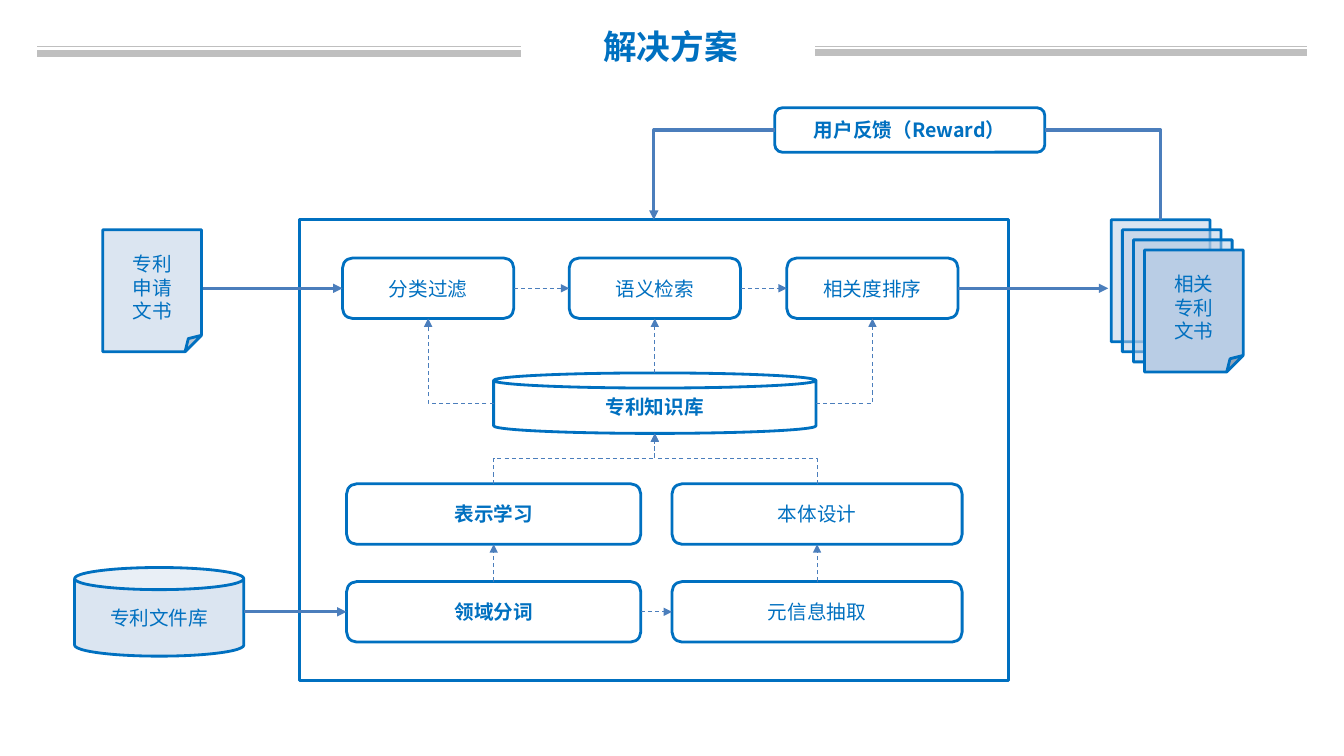
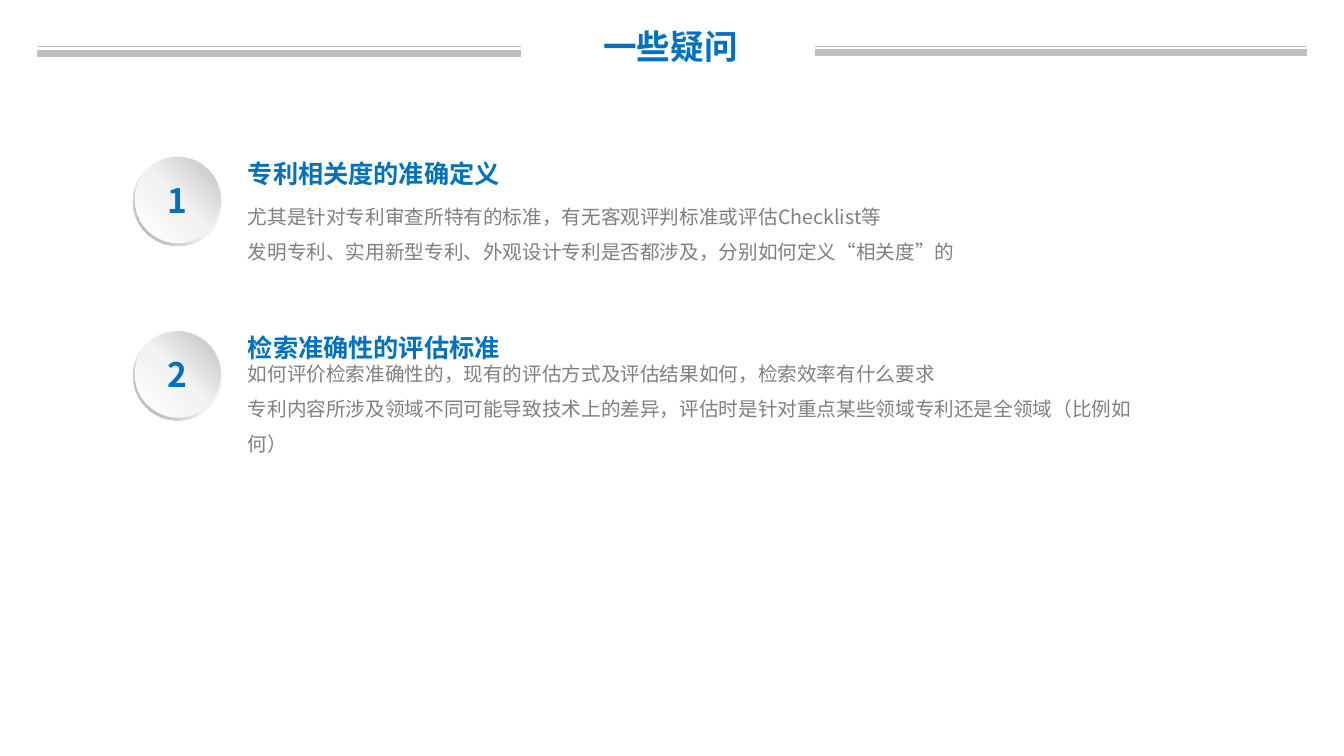
from dataclasses import dataclass
from enum import Enum
from typing import Optional

from lxml.etree import SubElement
from pptx import Presentation
from pptx.dml.color import RGBColor
from pptx.enum.dml import MSO_LINE
from pptx.enum.shapes import MSO_CONNECTOR, MSO_SHAPE
from pptx.enum.text import MSO_ANCHOR, MSO_AUTO_SIZE, PP_ALIGN
from pptx.oxml.ns import qn
from pptx.util import Emu, Pt

PX = 9144
FONT = "Noto Sans CJK SC"
COLORS = {
    "blue": "0070C0",
    "arrow": "4B7EBC",
    "paper": "B9CDE5",
    "rule": "BFBFBF",
    "body": "808080",
    "white": "FFFFFF",
    "pale": "F2F2F2",
    "silver": "BFBFBF",
    "steel": "A6A6A6",
}
TITLE_LAYOUT, COMPARISON_LAYOUT = 5, 4
TOP, LEFT, BOTTOM, RIGHT = range(4)


class Route(Enum):
    STRAIGHT = "line"
    CORNER = "bentConnector2"
    STEP = "bentConnector3"


@dataclass(frozen=True)
class Rule:
    left: int
    right: int
    y: int
    weight: float


@dataclass(frozen=True)
class Node:
    key: str
    left: int
    top: int
    width: int
    height: int
    lines: tuple = ()
    preset: MSO_SHAPE = MSO_SHAPE.ROUNDED_RECTANGLE
    bold: bool = False
    alpha: int = 0
    text_top: Optional[int] = None


@dataclass(frozen=True)
class End:
    x: int = 0
    y: int = 0
    key: str = ""
    side: int = TOP


@dataclass(frozen=True)
class Edge:
    start: End
    end: End
    route: Route = Route.STRAIGHT
    weight: float = 0.75
    dashed: bool = True
    arrow: bool = True


@dataclass(frozen=True)
class Question:
    heading: str
    details: tuple


RULES = [Rule(809, 1297, 46, 0.75), Rule(37, 517, 46, 0.75),
         Rule(809, 1297, 52, 4.5), Rule(37, 517, 53, 4.5)]


def sheet(key: str, left: int, top: int, alpha: int, lines: tuple = ()) -> Node:
    return Node(key, left, top, 98, 121, lines, MSO_SHAPE.FOLDED_CORNER,
                alpha=alpha, text_top=22)


NODES = [
    sheet("application", 102, 228, 50, ("专利", "申请", "文书")),
    Node("files", 74, 563, 168, 88, ("专利文件库",), MSO_SHAPE.CAN, alpha=50),
    Node("system", 297, 218, 704, 457, preset=MSO_SHAPE.RECTANGLE),
    *(sheet(f"result{i}", 1103 + 11 * i, 218 + 10 * i, 50) for i in range(3)),
    sheet("result3", 1136, 248, 100, ("相关", "专利", "文书")),
    Node("knowledge", 490, 370, 320, 60, ("专利知识库",), MSO_SHAPE.CAN, True),
    Node("reward", 769, 107, 268, 44, ("用户反馈（Reward）",), bold=True),
    Node("segmentation", 344, 577, 292, 60, ("领域分词",), bold=True),
    Node("metadata", 667, 577, 288, 60, ("元信息抽取",)),
    Node("learning", 344, 480, 292, 60, ("表示学习",), bold=True),
    Node("ontology", 667, 480, 288, 60, ("本体设计",)),
    Node("filtering", 340, 256, 170, 60, ("分类过滤",)),
    Node("retrieval", 565, 256, 170, 60, ("语义检索",)),
    Node("ranking", 781, 256, 170, 60, ("相关度排序",)),
]


def at(key: str, side: int) -> End:
    return End(key=key, side=side)


EDGES = [
    Edge(End(202, 286), at("filtering", LEFT), weight=2.25, dashed=False),
    Edge(at("ranking", RIGHT), End(1100, 286), weight=2.25, dashed=False),
    Edge(at("reward", LEFT), at("system", TOP), Route.CORNER, 2.25, False),
    Edge(at("reward", RIGHT), at("result0", TOP), Route.CORNER, 2.25, False, False),
    Edge(at("files", RIGHT), at("segmentation", LEFT), weight=2.25, dashed=False),
    Edge(at("filtering", RIGHT), at("retrieval", LEFT)),
    Edge(at("retrieval", RIGHT), at("ranking", LEFT)),
    Edge(at("learning", TOP), at("knowledge", BOTTOM), Route.STEP),
    Edge(at("ontology", TOP), at("knowledge", BOTTOM), Route.STEP),
    Edge(at("segmentation", TOP), at("learning", BOTTOM)),
    Edge(at("metadata", TOP), at("ontology", BOTTOM)),
    Edge(at("segmentation", RIGHT), at("metadata", LEFT)),
    Edge(at("knowledge", LEFT), at("filtering", BOTTOM), Route.CORNER),
    Edge(at("knowledge", RIGHT), at("ranking", BOTTOM), Route.CORNER),
    Edge(at("knowledge", TOP), at("retrieval", BOTTOM)),
]

QUESTIONS = [
    Question("专利相关度的准确定义",
             ("尤其是针对专利审查所特有的标准，有无客观评判标准或评估Checklist等",
              "发明专利、实用新型专利、外观设计专利是否都涉及，分别如何定义“相关度”的")),
    Question("检索准确性的评估标准",
             ("如何评价检索准确性的，现有的评估方式及评估结果如何，检索效率有什么要求",
              "专利内容所涉及领域不同可能导致技术上的差异，评估时是针对重点某些领域专利还是全领域（比例如何）")),
]


def px(*lengths: int) -> list:
    return [Emu(length * PX) for length in lengths]


def rgb(name: str) -> RGBColor:
    return RGBColor.from_string(COLORS[name])


def write(frame, lines: tuple, size: int, color: str = "blue", bold: bool = False,
          align: PP_ALIGN = PP_ALIGN.CENTER, spacing: float = 1.0) -> None:
    for index, line in enumerate(lines):
        paragraph = frame.add_paragraph() if index else frame.paragraphs[0]
        paragraph.alignment = align
        paragraph.line_spacing = spacing
        paragraph.space_before = Pt(0)
        properties = paragraph._p.get_or_add_pPr()
        properties.set("marL", "0")
        properties.set("indent", "0")
        SubElement(properties, qn("a:buNone"))
        run = paragraph.add_run()
        run.text = line
        run.font.size = Pt(size)
        run.font.bold = bold
        run.font.name = FONT
        run.font.color.rgb = rgb(color)
        SubElement(run._r.get_or_add_rPr(), qn("a:ea"), typeface=FONT)


def place(holder, left: int, top: int, width: int, height: int,
          anchor: MSO_ANCHOR, wrap: bool = True):
    holder.left, holder.top, holder.width, holder.height = px(left, top, width, height)
    frame = holder.text_frame
    frame.vertical_anchor = anchor
    frame.word_wrap = wrap
    frame.auto_size = MSO_AUTO_SIZE.SHAPE_TO_FIT_TEXT
    return frame


def style_line(connector, color: str, weight: float, dashed: bool, arrow: bool) -> None:
    connector.line.color.rgb = rgb(color)
    connector.line.width = Pt(weight)
    if dashed:
        connector.line.dash_style = MSO_LINE.DASH
    properties = connector.element.spPr
    if arrow:
        SubElement(properties.find(qn("a:ln")), qn("a:tailEnd"), type="triangle")
    SubElement(properties, qn("a:effectLst"))


def start_slide(deck, layout: int, title: str):
    slide = deck.slides.add_slide(deck.slide_layouts[layout])
    write(place(slide.shapes.title, 522, 21, 287, 50, MSO_ANCHOR.TOP), (title,), 24, bold=True)
    for rule in RULES:
        line = slide.shapes.add_connector(
            MSO_CONNECTOR.STRAIGHT, *px(rule.left, rule.y, rule.right, rule.y))
        style_line(line, "rule", rule.weight, False, False)
    return slide


def draw_node(slide, node: Node):
    shape = slide.shapes.add_shape(
        node.preset, *px(node.left, node.top, node.width, node.height))
    shape.shadow.inherit = False
    shape.line.color.rgb = rgb("blue")
    shape.line.width = Pt(2)
    if node.alpha:
        shape.fill.solid()
        shape.fill.fore_color.rgb = rgb("paper")
        if node.alpha < 100:
            tint = shape.element.spPr.find(qn("a:solidFill")).find(qn("a:srgbClr"))
            SubElement(tint, qn("a:alpha"), val=str(node.alpha * 1000))
    else:
        shape.fill.background()
    frame = shape.text_frame
    frame.word_wrap = True
    frame.vertical_anchor = MSO_ANCHOR.MIDDLE
    if node.text_top is not None:
        frame.vertical_anchor = MSO_ANCHOR.TOP
        frame.margin_top = px(node.text_top)[0]
    write(frame, node.lines, 14, bold=node.bold)
    return shape


def join(connector, end: End, shapes: dict, tag: str) -> None:
    if not end.key:
        return
    shape = shapes[end.key]
    attach = connector.begin_connect if tag == "a:stCxn" else connector.end_connect
    attach(shape, end.side)
    if shape.auto_shape_type == MSO_SHAPE.CAN:
        next(connector.element.iter(qn(tag))).set("idx", str(end.side + 1))


def turn_upward(connector) -> None:
    start_x, start_y = connector.begin_x, connector.begin_y
    end_x, end_y = connector.end_x, connector.end_y
    across, rise = abs(end_x - start_x), abs(end_y - start_y)
    connector.left = Emu((start_x + end_x - rise) // 2)
    connector.top = Emu((start_y + end_y - across) // 2)
    connector.width, connector.height = Emu(rise), Emu(across)
    transform = connector.element.spPr.find(qn("a:xfrm"))
    transform.set("rot", "16200000")
    transform.set("flipH", "0")
    transform.set("flipV", "1" if end_x < start_x else "0")


def draw_edge(slide, edge: Edge, shapes: dict) -> None:
    straight = edge.route is Route.STRAIGHT
    connector = slide.shapes.add_connector(
        MSO_CONNECTOR.STRAIGHT if straight else MSO_CONNECTOR.ELBOW,
        *px(edge.start.x, edge.start.y, edge.end.x, edge.end.y))
    join(connector, edge.start, shapes, "a:stCxn")
    join(connector, edge.end, shapes, "a:endCxn")
    if edge.route is Route.CORNER:
        connector.element.spPr.find(qn("a:prstGeom")).set("prst", edge.route.value)
    elif edge.route is Route.STEP:
        turn_upward(connector)
    style_line(connector, "arrow", edge.weight, edge.dashed, edge.arrow)


def draw_disc(slide, preset: MSO_SHAPE, left: int, top: int, size: int,
              stops: tuple, angle: int):
    disc = slide.shapes.add_shape(preset, *px(left, top, size, size))
    disc.shadow.inherit = False
    disc.line.fill.background()
    disc.fill.gradient()
    gradient = disc.element.spPr.find(qn("a:gradFill"))
    for child in list(gradient):
        gradient.remove(child)
    stop_list = SubElement(gradient, qn("a:gsLst"))
    for position, color in stops:
        stop = SubElement(stop_list, qn("a:gs"), pos=str(position * 1000))
        SubElement(stop, qn("a:srgbClr"), val=COLORS[color])
    SubElement(gradient, qn("a:lin"), ang=str(angle * 60000), scaled="0")
    return disc


def draw_question(slide, index: int, question: Question) -> None:
    top = 152 + 173 * index
    ring = draw_disc(slide, MSO_SHAPE.DONUT, 132, top + 3, 89,
                     ((0, "white"), (55, "pale"), (100, "steel")), 135)
    ring.adjustments[0] = 0.05
    badge = draw_disc(slide, MSO_SHAPE.OVAL, 134, top + 4, 85,
                      ((0, "white"), (51, "pale"), (100, "silver")), 315)
    badge.text_frame.vertical_anchor = MSO_ANCHOR.MIDDLE
    write(badge.text_frame, (str(index + 1),), 24, bold=True)
    heading, details = (slide.placeholders[2 * index + k] for k in (1, 2))
    write(place(heading, 236, top, 273, 40, MSO_ANCHOR.MIDDLE, False),
          (question.heading,), 18, bold=True, align=PP_ALIGN.LEFT)
    write(place(details, 236, top + 36, 935, 77, MSO_ANCHOR.MIDDLE),
          question.details, 14, "body", align=PP_ALIGN.LEFT, spacing=1.5)


def main() -> None:
    deck = Presentation()
    deck.slide_width, deck.slide_height = px(1334, 750)
    solution = start_slide(deck, TITLE_LAYOUT, "解决方案")
    shapes = {node.key: draw_node(solution, node) for node in NODES}
    for edge in EDGES:
        draw_edge(solution, edge, shapes)
    doubts = start_slide(deck, COMPARISON_LAYOUT, "一些疑问")
    for index, question in enumerate(QUESTIONS):
        draw_question(doubts, index, question)
    deck.save("out.pptx")


if __name__ == "__main__":
    main()
